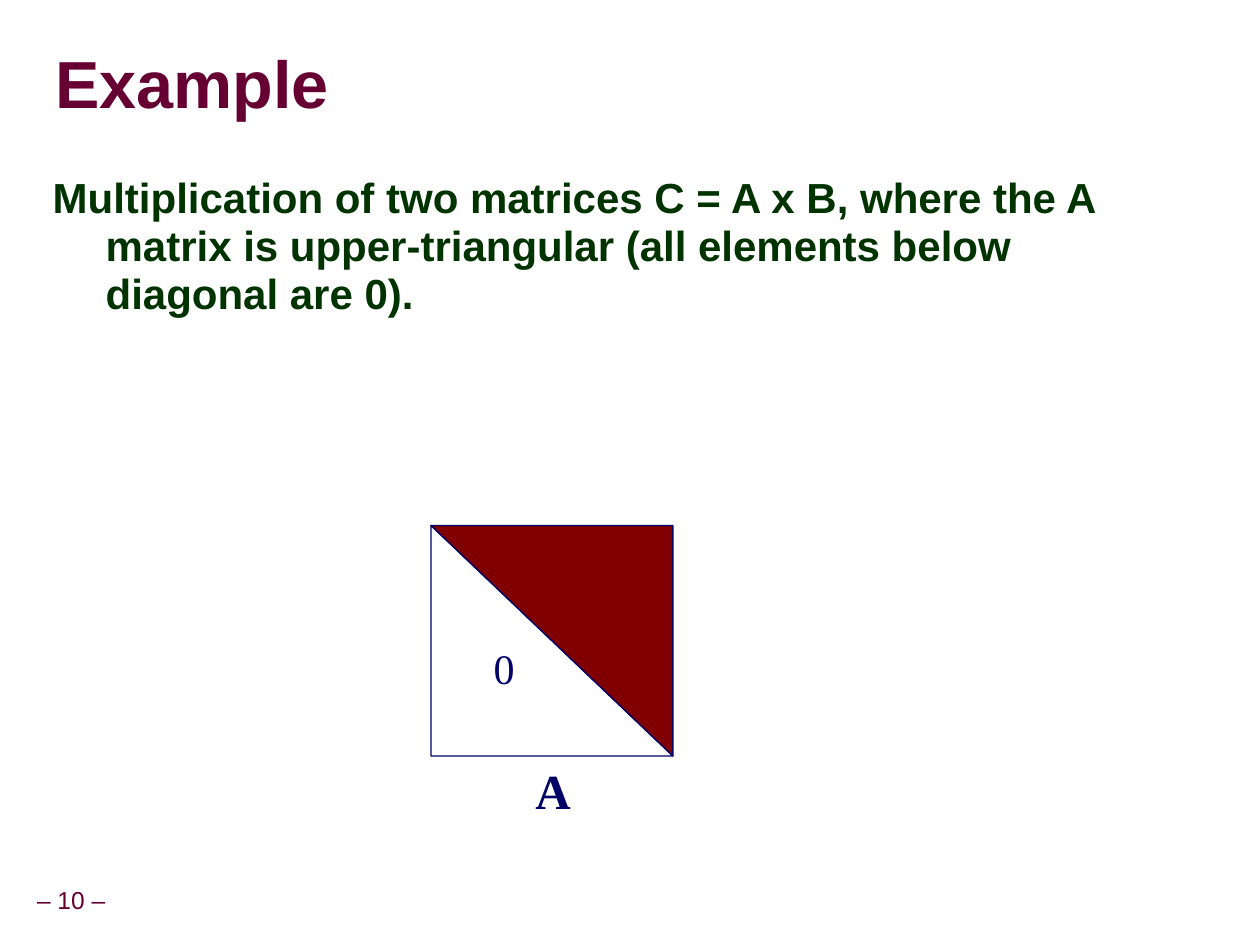
from lxml.etree import fromstring
from pptx import Presentation
from pptx.dml.color import RGBColor
from pptx.enum.shapes import MSO_SHAPE
from pptx.enum.text import MSO_ANCHOR, PP_ALIGN
from pptx.util import Inches, Pt

PLUM = RGBColor(0x66, 0x00, 0x33)
GREEN = RGBColor(0x00, 0x33, 0x00)
NAVY = RGBColor(0x00, 0x00, 0x66)
MAROON = RGBColor(0x80, 0x00, 0x00)

SHADOW = (
    '<a:effectLst xmlns:a="http://schemas.openxmlformats.org/drawingml/2006/main">'
    '<a:outerShdw dist="71842" dir="2700000" algn="ctr" rotWithShape="0">'
    '<a:srgbClr val="969696"/></a:outerShdw></a:effectLst>'
)

prs = Presentation()
prs.slide_width, prs.slide_height = Inches(10), Inches(7.5)
s = prs.slides.add_slide(prs.slide_layouts[6])


def add_text(text, box, size, color, font="Arial", bold=False, wrap=False):
    tf = s.shapes.add_textbox(*[Inches(v) for v in box]).text_frame
    tf.word_wrap = wrap
    p = tf.paragraphs[0]
    p.text = text
    p.font.name, p.font.size, p.font.bold = font, Pt(size), bold
    p.font.color.rgb = color
    return tf, p


tf, p = add_text("– 10 –", (-0.09, 7, 1.31, 0.31), 14, PLUM)
tf.margin_left = tf.margin_right = Inches(0.05)
tf.vertical_anchor = MSO_ANCHOR.MIDDLE
p.alignment = PP_ALIGN.CENTER
p.line_spacing = 0.9

tf, p = add_text("Example", (0.44, 0.27, 9.53, 0.85), 38, PLUM, bold=True, wrap=True)
tf.margin_left = tf.margin_right = tf.margin_top = tf.margin_bottom = 0
tf.vertical_anchor = MSO_ANCHOR.MIDDLE
p.line_spacing = 0.87
rPr = p.runs[0]._r.get_or_add_rPr()
p.runs[0].font.color.rgb = PLUM
rPr.append(fromstring(SHADOW))

tf, p = add_text(
    "Multiplication of two matrices C = A x B, where the A matrix is "
    "upper-triangular (all elements below diagonal are 0).",
    (0.32, 1.34, 9.09, 5.71), 24, GREEN, bold=True, wrap=True)
p.line_spacing = 0.95
p.space_before = Pt(15)
pPr = p._p.get_or_add_pPr()
pPr.set("marL", str(Inches(0.42)))
pPr.set("indent", str(-Inches(0.42)))

for rotation, fill in ((0, None), (180, MAROON)):
    sp = s.shapes.add_shape(MSO_SHAPE.RIGHT_TRIANGLE, Inches(3.42), Inches(4.17),
                            Inches(1.92), Inches(1.83))
    sp.shadow.inherit = False
    sp.rotation = rotation
    sp.line.color.rgb = NAVY
    sp.line.width = Pt(0.75)
    if fill is None:
        sp.fill.background()
    else:
        sp.fill.solid()
        sp.fill.fore_color.rgb = fill

add_text("0", (3.82, 5.05, 0.36, 0.5), 24, NAVY, "Times New Roman")
add_text("A", (4.15, 5.99, 0.48, 0.57), 28, NAVY, "Times New Roman", bold=True)

prs.save("out.pptx")
